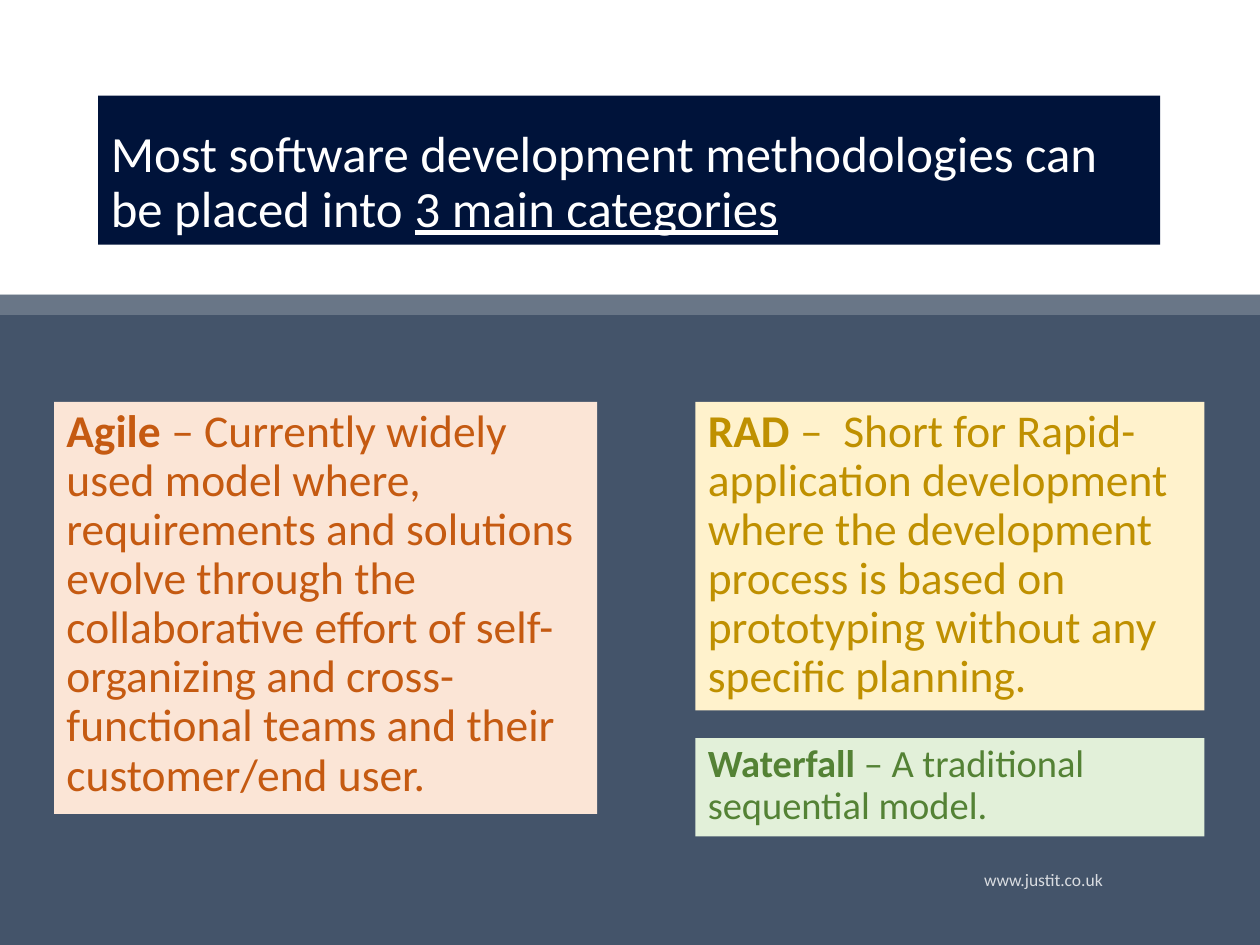
from lxml.etree import SubElement
from pptx import Presentation
from pptx.dml.color import RGBColor
from pptx.enum.shapes import MSO_SHAPE
from pptx.enum.text import MSO_ANCHOR, MSO_AUTO_SIZE, PP_ALIGN
from pptx.oxml.ns import qn
from pptx.util import Cm, Pt

NAVY, SLATE, WHITE = "00133A", "44546A", "FFFFFF"
WIDTH, HEIGHT = 25.4, 19.05
BAND_TOP = 5.94
CARDS_TOP, RIGHT_LEFT, RIGHT_WIDTH = 8.1, 14.02, 10.26

CARDS = [
    ((1.09, CARDS_TOP, 10.95, 8.31), "FBE5D6", "C55A11", 26, "Agile",
     " – Currently widely used model where,  requirements and solutions evolve through the "
     "collaborative effort of self-organizing and cross-functional teams and their customer/end user."),
    ((RIGHT_LEFT, CARDS_TOP, RIGHT_WIDTH, 6.22), "FFF2CC", "BF9000", 26, "RAD",
     " –  Short for Rapid-application development where the development process is based on "
     "prototyping without any specific planning."),
    ((RIGHT_LEFT, 14.88, RIGHT_WIDTH, 1.98), "E2F0D9", "548235", 22, "Waterfall",
     " – A traditional sequential model."),
]


def paint(fill, color):
    fill.solid()
    fill.fore_color.rgb = RGBColor.from_string(color)


def fade(shape, percent):
    for clr in shape.element.iter(qn("a:srgbClr")):
        SubElement(clr, qn("a:alpha")).set("val", str(percent * 1000))


def add_rect(s, box, color):
    sp = s.shapes.add_shape(MSO_SHAPE.RECTANGLE, *map(Cm, box))
    sp.shadow.inherit = False
    paint(sp.fill, color)
    sp.line.fill.background()
    return sp


def set_text(tf, parts, size, color, anchor, align=PP_ALIGN.LEFT, spacing=0.9, after=6):
    tf.word_wrap = True
    tf.auto_size = MSO_AUTO_SIZE.NONE
    tf.vertical_anchor = anchor
    p = tf.paragraphs[0]
    p.text = parts[0]
    for part in parts[1:]:
        p.add_run().text = part
    p.alignment = align
    p.line_spacing = spacing
    p.space_after = Pt(after)
    for r in p.runs:
        r.font.name = "Calibri"
        r.font.size = Pt(size)
        paint(r.font.fill, color)
    return p.runs


def add_card(s, box, back, color, size, name, description):
    sp = add_rect(s, box, back)
    runs = set_text(sp.text_frame, [name, description], size, color, MSO_ANCHOR.TOP)
    runs[0].font.bold = True


def add_title(s):
    title = s.shapes.title
    title.left, title.top, title.width, title.height = map(Cm, (1.98, 1.93, 21.41, 3))
    paint(title.fill, NAVY)
    parts = ["Most software development methodologies can be placed into ", "3 main categories"]
    runs = set_text(title.text_frame, parts, 29, WHITE, MSO_ANCHOR.BOTTOM, after=0)
    runs[-1].font.underline = True
    s.shapes.element.append(title.element)


def add_footer(s):
    tb = s.shapes.add_textbox(*map(Cm, (10.16, 17.22, 12.32, 1.02)))
    set_text(tb.text_frame, ["www.justit.co.uk"], 10, WHITE, MSO_ANCHOR.MIDDLE, PP_ALIGN.RIGHT, 1)
    fade(tb, 80)


def main():
    prs = Presentation()
    prs.slide_width, prs.slide_height = Cm(WIDTH), Cm(HEIGHT)
    s = prs.slides.add_slide(prs.slide_layouts[5])
    paint(s.background.fill, NAVY)
    add_rect(s, (0, 0, WIDTH, HEIGHT), SLATE)
    add_rect(s, (0, 0, WIDTH, BAND_TOP), WHITE)
    fade(add_rect(s, (0, BAND_TOP, WIDTH, 0.41), WHITE), 20)
    for card in CARDS:
        add_card(s, *card)
    add_title(s)
    add_footer(s)
    prs.save("out.pptx")


if __name__ == "__main__":
    main()
